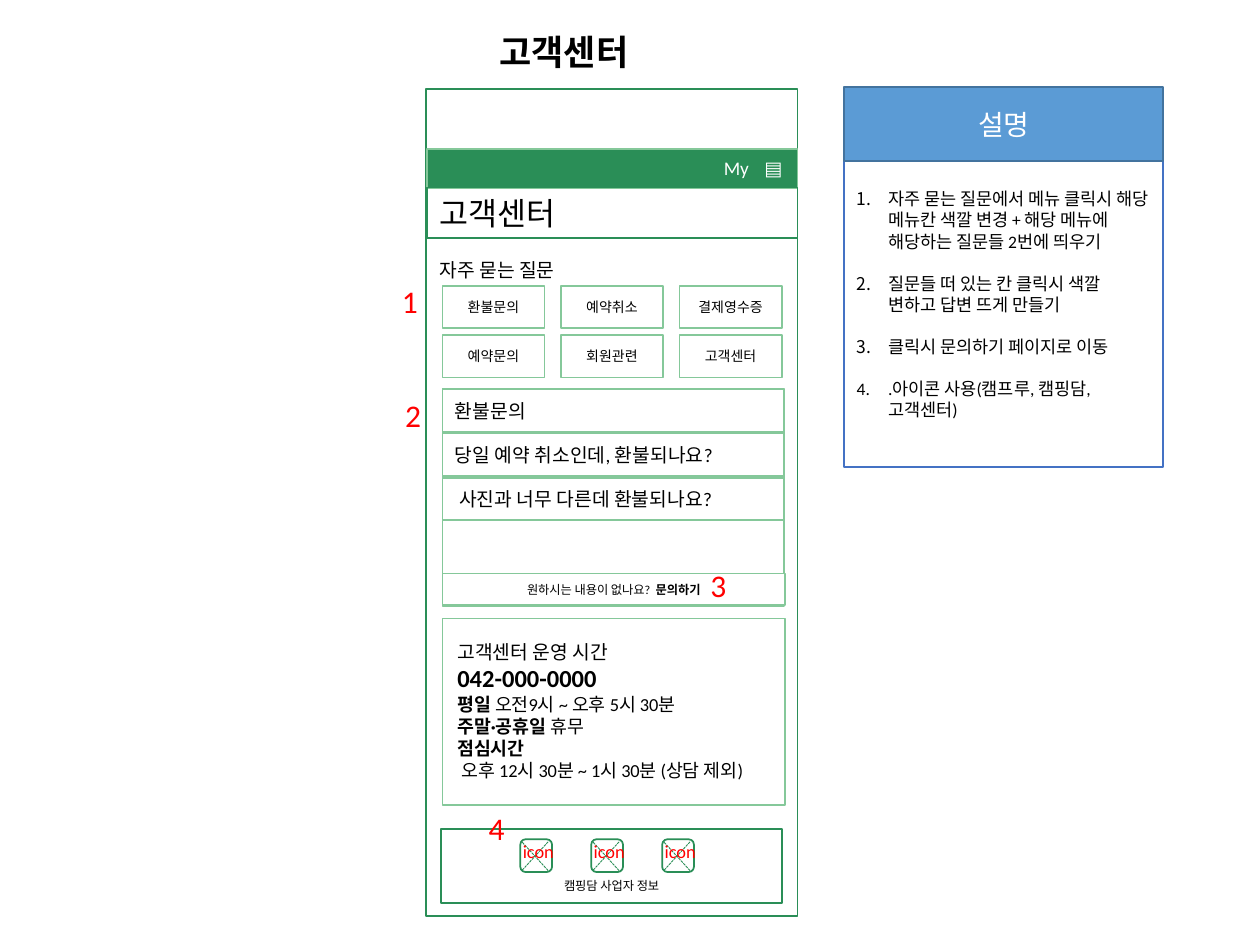
"""Build the help centre screen plan with its notes panel."""
from lxml import etree
from pptx import Presentation, util as u
from pptx.dml.color import RGBColor
from pptx.enum import dml, shapes, text as t
from pptx.oxml.ns import qn

GREEN = RGBColor(0x2A, 0x8E, 0x57)
MINT = RGBColor(0x85, 0xC8, 0x9A)
BLUE = RGBColor(0x5B, 0x9B, 0xD5)
NAVY = RGBColor(0x43, 0x73, 0x9E)
ROYAL = RGBColor(0x44, 0x72, 0xC4)
WHITE = RGBColor(0xFF, 0xFF, 0xFF)
BLACK = RGBColor(0, 0, 0)
RED = RGBColor(0xFF, 0, 0)
LEFT, MID = t.PP_ALIGN.LEFT, t.PP_ALIGN.CENTER
TOP, CORE, LOW = t.MSO_ANCHOR.TOP, t.MSO_ANCHOR.MIDDLE, t.MSO_ANCHOR.BOTTOM
RECT, ROUND = shapes.MSO_SHAPE.RECTANGLE, shapes.MSO_SHAPE.ROUNDED_RECTANGLE

TOPICS = [["환불문의", "예약취소", "결제영수증"],
          ["예약문의", "회원관련", "고객센터"]]
ASKS = ["환불문의", "당일 예약 취소인데, 환불되나요?", " 사진과 너무 다른데 환불되나요?"]
NOTES = [
    "자주 묻는 질문에서 메뉴 클릭시 해당 메뉴칸 색깔 변경 + 해당 메뉴에 해당하는 질문들 2번에 띄우기",
    "질문들 떠 있는 칸 클릭시 색깔 변하고 답변 뜨게 만들기",
    "클릭시 문의하기 페이지로 이동",
    ".아이콘 사용(캠프루, 캠핑담, 고객센터)",
]
HOURS = [
    (11, "고객센터 운영 시간", ""),
    (14, "", "042-000-0000"),
    (10.5, " 오전9시 ~ 오후 5시 30분", "평일"),
    (10.5, " 휴무", "주말·공휴일"),
    (10.5, "", "점심시간"),
    (10.5, " 오후 12시 30분 ~ 1시 30분 (상담 제외)", ""),
]
MARKS = [("1", 7.85, 5.56), ("2", 7.92, 7.85), ("3", 14.07, 11.28), ("4", 9.6, 16.18)]


class Screen:
    """Hold the style and the current slide."""

    def __init__(self, deck, face="Calibri"):
        self.face = face
        self.slide = deck.slides.add_slide(deck.slide_layouts[5])

    def style(self, par, size, color=BLACK, bold=False, align=LEFT):
        par.alignment = align
        font = par.font
        font.name, font.size, font.bold = self.face, u.Pt(size), bold
        font.color.rgb = color

    def title(self, words, area):
        head = self.slide.shapes.title
        head.left, head.top, head.width, head.height = map(u.Cm, area)
        frame = head.text_frame
        frame.text = words
        frame.vertical_anchor = TOP
        self.style(frame.paragraphs[0], 20, bold=True, align=MID)

    def box(self, area, line=None, fill=None, kind=RECT):
        item = self.slide.shapes.add_shape(kind, *map(u.Cm, area))
        item.shadow.inherit = False
        if fill is None:
            item.fill.background()
        else:
            item.fill.solid()
            item.fill.fore_color.rgb = fill
        if line is None:
            item.line.fill.background()
        else:
            item.line.color.rgb = line
            item.line.width = u.Pt(1)
        return item

    def label(self, item, words, size, color=BLACK, align=MID, anchor=CORE):
        frame = item.text_frame
        frame.word_wrap = True
        frame.vertical_anchor = anchor
        frame.text = words
        self.style(frame.paragraphs[0], size, color, align=align)
        return frame

    def area(self, area):
        item = self.slide.shapes.add_textbox(*map(u.Cm, area))
        item.text_frame.word_wrap = True
        return item

    def steps(self, item, notes):
        frame = item.text_frame
        frame.word_wrap = True
        frame.vertical_anchor = TOP
        frame.margin_top = u.Cm(0.55)
        frame.text = "\n".join(notes)
        for i, par in enumerate(frame.paragraphs):
            self.style(par, 10)
            par.space_before = u.Pt(12 if i else 0)
            prop = par._p.get_or_add_pPr()
            prop.set("marL", str(u.Cm(0.635)))
            prop.set("indent", str(u.Cm(-0.635)))
            num = etree.Element(qn("a:buAutoNum"), type="arabicPeriod")
            prop.find(qn("a:defRPr")).addprevious(num)

    def hours(self, item, rows):
        frame = item.text_frame
        for i, (size, plain, bold) in enumerate(rows):
            par = frame.add_paragraph() if i else frame.paragraphs[0]
            self.style(par, size)
            for words, heavy in ((bold, True), (plain, False)):
                if words:
                    run = par.add_run()
                    run.text, run.font.bold = words, heavy

    def stroke(self, *ends):
        line = self.slide.shapes.add_connector(
            shapes.MSO_CONNECTOR.STRAIGHT, *map(u.Cm, ends))
        line.line.color.rgb = GREEN
        line.line.width = u.Pt(0.5)
        line.line.dash_style = dml.MSO_LINE.SQUARE_DOT
        etree.SubElement(line._element.spPr, qn("a:effectLst"))

    def icon(self, x, y):
        self.box((x, y, 0.64, 0.66), GREEN, WHITE, ROUND)
        self.stroke(x + 0.56, y + 0.63, x + 0.03, y + 0.05)
        self.stroke(x + 0.56, y + 0.05, x + 0.03, y + 0.63)
        self.label(self.area((x - 0.2, y - 0.1, 1.24, 0.76)), "icon", 10.5, RED, LEFT, TOP)


def main():
    deck = Presentation()
    deck.slide_width, deck.slide_height = u.Cm(25.4), u.Cm(19.05)
    page = Screen(deck)
    page.title("고객센터", (6.1, 0.48, 10.54, 1.12))

    page.box((8.59, 1.8, 7.49, 16.66), GREEN)
    page.steps(page.box((17.02, 3.25, 6.43, 6.17), ROYAL, WHITE), NOTES)
    page.label(page.box((17.02, 1.75, 6.43, 1.5), NAVY, BLUE), "설명", 16, WHITE)

    page.box((8.61, 3, 7.47, 0.79), MINT, GREEN)
    for words, x, wide in (("My", 14.25, 1.19), ("▤", 15.16, 0.81)):
        page.label(page.box((x, 3.05, wide, 0.66), GREEN), words, 11, WHITE)
    page.label(page.box((8.61, 3.78, 7.47, 1.02), GREEN), "고객센터", 18, align=LEFT, anchor=TOP)

    page.label(page.box((8.61, 5, 6.25, 0.86), fill=WHITE), "자주 묻는 질문", 11, align=LEFT)
    for j, row in enumerate(TOPICS):
        for i, topic in enumerate(row):
            cell = page.box((8.92 + 2.39 * i, 5.76 + 0.99 * j, 2.06, 0.86), MINT, WHITE)
            page.label(cell, topic, 8)

    page.box((8.92, 7.85, 6.88, 4.37), MINT, WHITE)
    for i, ask in enumerate(ASKS):
        page.label(page.box((8.92, 7.85 + 0.89 * i, 6.88, 0.86), MINT, WHITE), ask, 11, align=LEFT)
    more = page.label(page.box((8.92, 11.56, 6.91, 0.64), MINT, WHITE), "원하시는 내용이 없나요?  ", 7)
    link = more.paragraphs[0].add_run()
    link.text, link.font.bold = "문의하기", True

    page.box((8.92, 12.47, 6.91, 3.76), MINT, WHITE)
    page.hours(page.area((8.97, 12.78, 6.68, 3.12)), HOURS)

    foot = page.box((8.89, 16.71, 6.88, 1.5), GREEN, WHITE)
    page.label(foot, "캠핑담 사업자 정보", 7, anchor=LOW).margin_bottom = u.Cm(0.2)
    for i in range(3):
        page.icon(10.49 + 1.43 * i, 16.92)
    for mark, x, y in MARKS:
        page.label(page.area((x, y, 0.8, 1.02)), mark, 18, RED, LEFT, TOP)
    deck.save("out.pptx")


if __name__ == "__main__":
    main()
